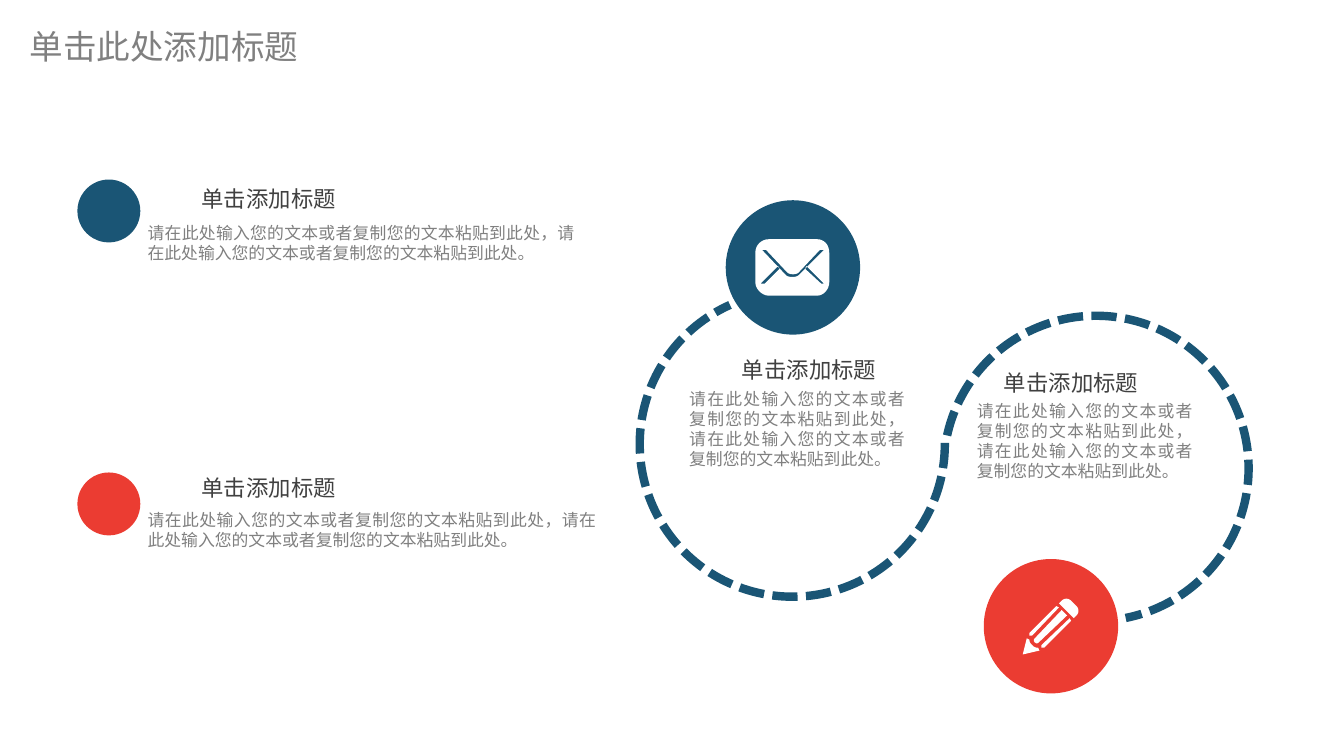
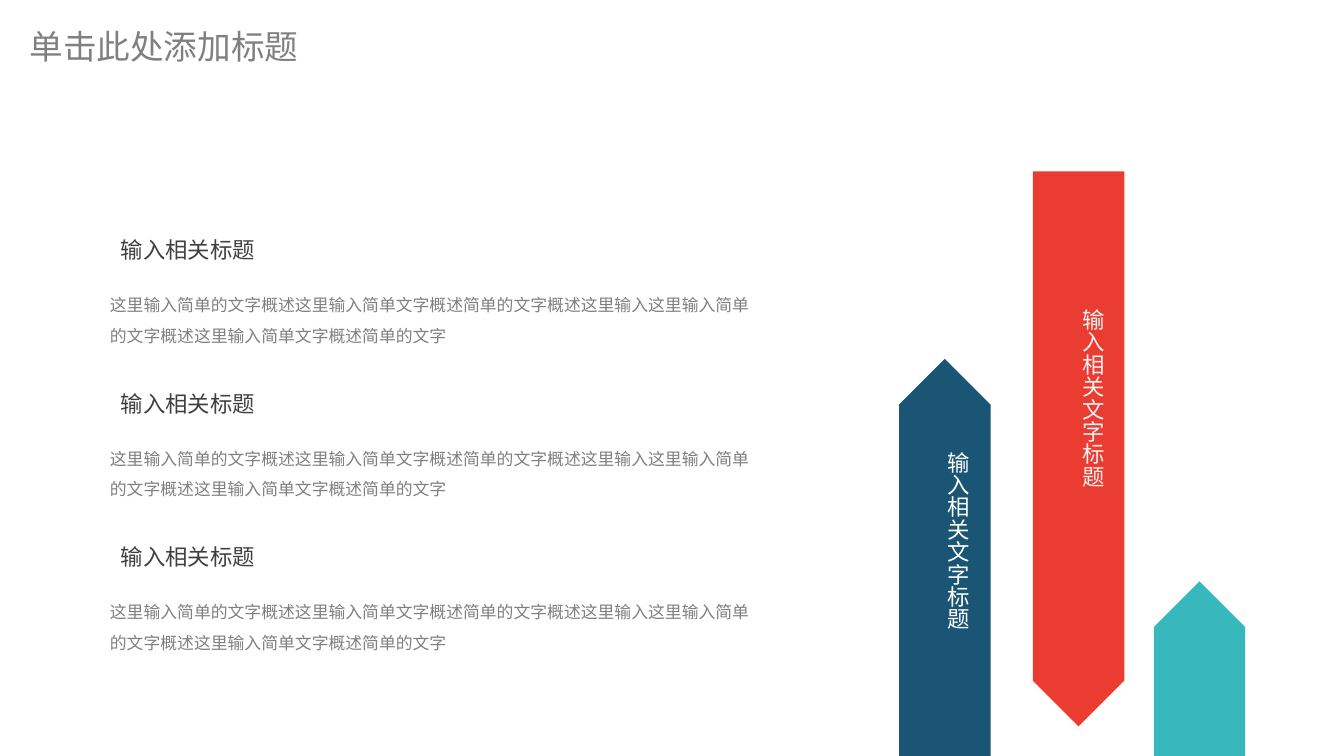
"""Build two slides: a dashed S-curve with callouts, and topics beside arrow bars."""
import lxml.etree
import pptx
import pptx.dml.color
import pptx.enum.dml
import pptx.enum.lang
import pptx.enum.shapes
import pptx.enum.text
import pptx.oxml.ns
import pptx.util

Pt = pptx.util.Pt
SHAPE = pptx.enum.shapes.MSO_SHAPE
ALIGN = pptx.enum.text.PP_ALIGN

COLORS = {
    "navy": "1A5575",
    "red": "EB3C32",
    "teal": "37B8BD",
    "white": "FFFFFF",
    "pale": "F2F2F2",
    "dark": "404040",
    "gray": "808080",
}
FONT = "Noto Sans CJK SC"
TITLE = "单击此处添加标题"
CALLOUT_HEADING = "单击添加标题"
CALLOUT_BODY = "请在此处输入您的文本或者复制您的文本粘贴到此处，" * 2
CALLOUT_BODY = CALLOUT_BODY[:-1] + "。"
TOPIC_HEADING = "输入相关标题"
TOPIC_BODY = (
    "这里输入简单的文字概述这里输入简单文字概述简单的文字概述这里输入"
    "这里输入简单的文字概述这里输入简单文字概述简单的文字"
)
BAR_LABEL = "输入相关文字标题"

GRID = Pt(0.72)
ENVELOPE = [
    [(60, 49), (59, 51), (71, 62), (73, 62)],
    [(39, 49), (26, 62), (29, 62), (40, 51)],
    [(27, 37), (45, 56), (47, 57.5, 52, 57.5, 54, 56), (73, 37), (70, 37),
     (54, 54), (52, 55.5, 48, 55.5, 46, 54), (30, 37)],
    [(32, 29), (68, 29), (73, 29, 77, 33, 77, 39), (77, 61),
     (77, 66, 73, 71, 68, 71), (32, 71), (27, 71, 22, 66, 22, 61), (22, 39),
     (22, 33, 27, 29, 32, 29)],
]
PENCIL = [
    [(69, 42), (67, 44), (56, 33), (58, 31), (60, 29, 63, 29, 65, 31), (69, 35),
     (71, 37, 71, 40, 69, 42)],
    [(43, 64), (43, 66), (45, 66), (65, 46), (64, 44)],
    [(34, 55), (34, 57), (36, 57), (56, 36), (54, 35)],
    [(58, 38), (38, 59), (37, 60, 37, 61, 38, 62), (39, 63, 40, 63, 41, 62), (62, 42)],
    [(41, 68), (41, 67, 41, 66, 40, 66), (38, 66, 37, 65, 36, 64),
     (35, 63, 34, 62, 34, 60), (32, 59), (29, 71), (42, 68)],
]


def rgb(name):
    """Return the named colour."""
    return pptx.dml.color.RGBColor.from_string(COLORS[name])


def write(frame, text, size, color, font=FONT, align=ALIGN.LEFT, spacing=None, after=None, wrap=True):
    """Write one formatted paragraph into a text frame."""
    frame.word_wrap = wrap
    frame.auto_size = pptx.enum.text.MSO_AUTO_SIZE.SHAPE_TO_FIT_TEXT
    frame.vertical_anchor = pptx.enum.text.MSO_ANCHOR.TOP
    para = frame.paragraphs[0]
    para.alignment = align
    if spacing:
        para.line_spacing = spacing
    if after:
        para.space_after = Pt(after)
    span = para.add_run()
    span.text = text
    span.font.size = Pt(size)
    span.font.color.rgb = rgb(color)
    span.font.name = font
    span.font.language_id = pptx.enum.lang.MSO_LANGUAGE_ID.SIMPLIFIED_CHINESE
    if font == FONT:
        latin = span.font.fill and span._r.rPr.find(pptx.oxml.ns.qn("a:latin"))
        east = lxml.etree.Element(pptx.oxml.ns.qn("a:ea"), typeface=font)
        latin.addnext(east)


def add_text(page, box, text, size, color, **style):
    """Add a text box at the given box."""
    write(page.shapes.add_textbox(*map(Pt, box)).text_frame, text, size, color, **style)


def paint(shape, color, line_width=0):
    """Fill a shape, with an outline of the same colour when a width is given."""
    shape.shadow.inherit = False
    shape.fill.solid()
    shape.fill.fore_color.rgb = rgb(color)
    if line_width:
        shape.line.color.rgb = rgb(color)
        shape.line.width = Pt(line_width)
    else:
        shape.line.fill.background()


def add_page(deck):
    """Add a title-only slide with the shared title style."""
    page = deck.slides.add_slide(deck.slide_layouts[5])
    title = page.shapes.title
    title.left, title.top, title.width, title.height = map(Pt, (8.64, 10.08, 159.84, 28.8))
    write(title.text_frame, TITLE, 18, "gray", font="Calibri", wrap=False)
    return page


def add_arc(page, box, rotation):
    """Add one dashed arc of the S-curve."""
    arc = page.shapes.add_shape(SHAPE.ARC, *map(Pt, box))
    arc.shadow.inherit = False
    arc.adjustments[0] = 68.178
    arc.adjustments[1] = 0
    arc.rotation = rotation
    arc.fill.background()
    arc.line.color.rgb = rgb("navy")
    arc.line.width = Pt(4.5)
    arc.line.dash_style = pptx.enum.dml.MSO_LINE.SQUARE_DOT


def add_callout(page, box, shift):
    """Add body text in the box and its heading at a shift from the corner."""
    left, top = box[:2]
    add_text(page, box, CALLOUT_BODY, 9, "gray", align=ALIGN.JUSTIFY, after=4.5)
    heading = (left + shift[0], top + shift[1], 142.56, 24.48)
    add_text(page, heading, CALLOUT_HEADING, 12, "dark", align=ALIGN.CENTER, spacing=1.2)


def flatten(contour, steps=8):
    """Turn corners and cubic curves into a list of points."""
    points = []
    for part in contour:
        if len(part) == 2:
            points.append(part)
            continue
        controls = [points[-1], part[:2], part[2:4], part[4:]]
        for step in range(1, steps + 1):
            t = step / steps
            weights = ((1 - t) ** 3, 3 * t * (1 - t) ** 2, 3 * t * t * (1 - t), t ** 3)
            points.append(tuple(
                sum(weight * control[axis] for weight, control in zip(weights, controls))
                for axis in (0, 1)
            ))
    return points


def add_badge(page, box, color, icon):
    """Add a filled circle with a white icon drawn on a grid inside it."""
    shapes = page.shapes.add_group_shape().shapes
    paint(shapes.add_shape(SHAPE.OVAL, *map(Pt, box)), color)
    contours = [
        [(x * GRID, y * GRID) for x, y in flatten(contour)] for contour in icon
    ]
    builder = shapes.build_freeform(*contours[0][0])
    for index, contour in enumerate(contours):
        if index:
            builder.move_to(*contour[0])
        builder.add_line_segments(contour[1:], close=True)
    paint(builder.convert_to_shape(Pt(box[0]), Pt(box[1])), "white")


def add_topic(page, box):
    """Add a topic heading with body text below it."""
    left, top, width, height = box
    add_text(page, (left + 5.76, top, 159.12, 21.6), TOPIC_HEADING, 12, "dark")
    add_text(page, (left, top + 25.92, width, height - 25.92), TOPIC_BODY, 9, "gray", spacing=1.5)


def add_bar(shapes, box, color, rotation):
    """Add an upright arrow bar that fills the box."""
    left, top, width, height = box
    inset = (width - height) / 2
    bar = shapes.add_shape(
        SHAPE.PENTAGON, Pt(left + inset), Pt(top - inset), Pt(height), Pt(width)
    )
    bar.rotation = rotation
    paint(bar, color)


def add_labelled_bar(page, box, color, rotation, label_box, label_color):
    """Add an arrow bar with a vertical label placed relative to its box."""
    shapes = page.shapes.add_group_shape().shapes
    add_bar(shapes, box, color, rotation)
    left, top, width, height = label_box
    label = shapes.add_shape(
        SHAPE.RECTANGLE, Pt(box[0] + left), Pt(box[1] + top), Pt(width), Pt(height)
    )
    paint(label, color)
    write(label.text_frame, BAR_LABEL, 12, label_color, wrap=False)
    label.element.txBody.bodyPr.set("vert", "eaVert")


def build_curve_page(deck):
    """Build the slide with the S-curve and four callouts."""
    page = add_page(deck)
    add_arc(page, (505.44, 169.2, 163.44, 163.44), 78.8)
    add_arc(page, (342.72, 156.24, 163.44, 163.44), 245.9)
    add_callout(page, (362.16, 204.48, 129.6, 51.12), (0, -20.16))
    add_callout(page, (516.24, 210.96, 129.6, 51.12), (-13.68, -19.44))
    add_badge(page, (388.8, 107.28, 72, 72), "navy", ENVELOPE)
    add_badge(page, (527.04, 299.52, 72, 72), "red", PENCIL)
    add_callout(page, (72, 115.92, 242.64, 28.8), (0.72, -23.04))
    add_callout(page, (72, 269.28, 254.16, 28.8), (0.72, -21.6))
    for top, color in ((97.2, "navy"), (254.16, "red")):
        dot = page.shapes.add_shape(SHAPE.OVAL, *map(Pt, (42.48, top, 31.68, 31.68)))
        paint(dot, color, 2)


def build_bars_page(deck):
    """Build the slide with three topics and three arrow bars."""
    page = add_page(deck)
    add_bar(page.shapes, (618.12, 311.4, 48.96, 95.76), "teal", 270)
    for row in range(3):
        add_topic(page, (51.84, 123.12 + row * 82.26, 364.32, 66.24))
    add_labelled_bar(page, (553.32, 91.8, 48.96, 297.36), "red", 90, (14.04, 66.6, 28.8, 96.48), "pale")
    add_labelled_bar(page, (481.68, 192.24, 48.96, 214.56), "navy", 270, (13.68, 42.48, 28.8, 104.4), "white")


def main():
    """Create the deck and save it."""
    deck = pptx.Presentation()
    deck.slide_width, deck.slide_height = Pt(720), Pt(405)
    build_curve_page(deck)
    build_bars_page(deck)
    deck.save("out.pptx")


if __name__ == "__main__":
    main()
